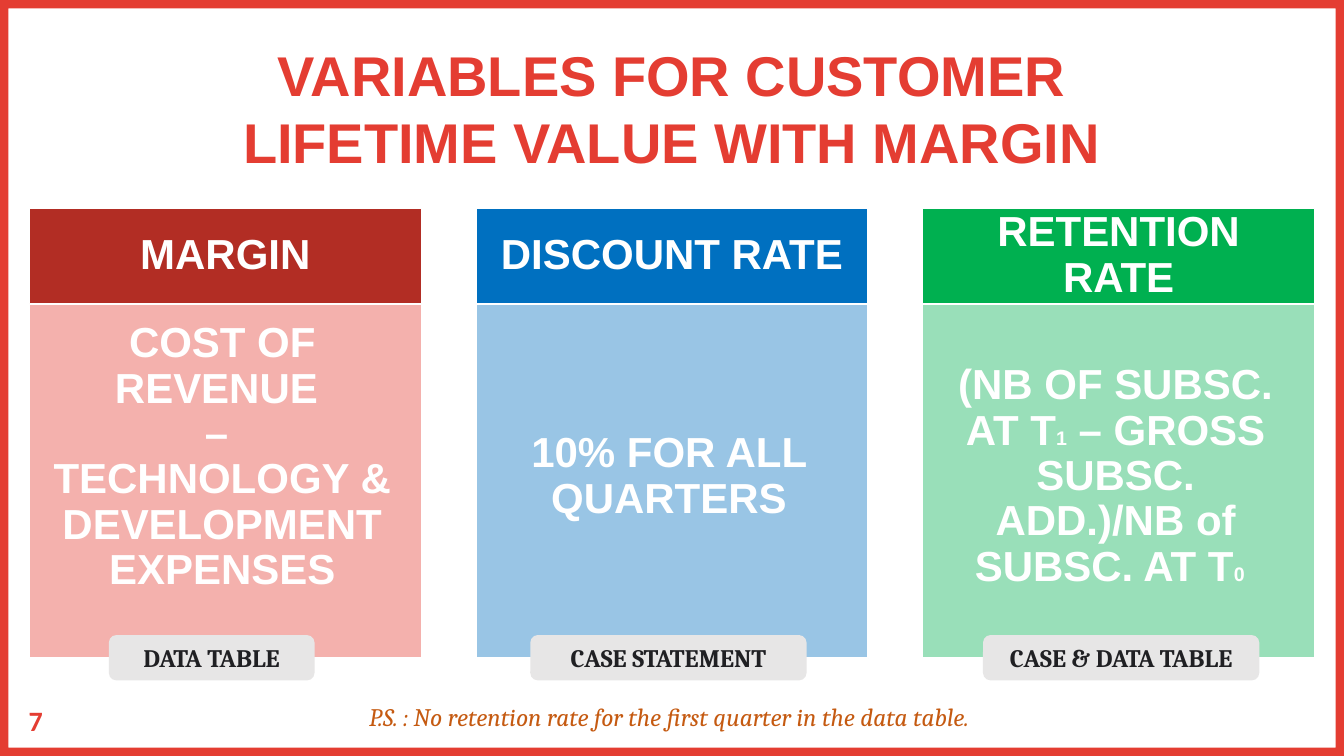
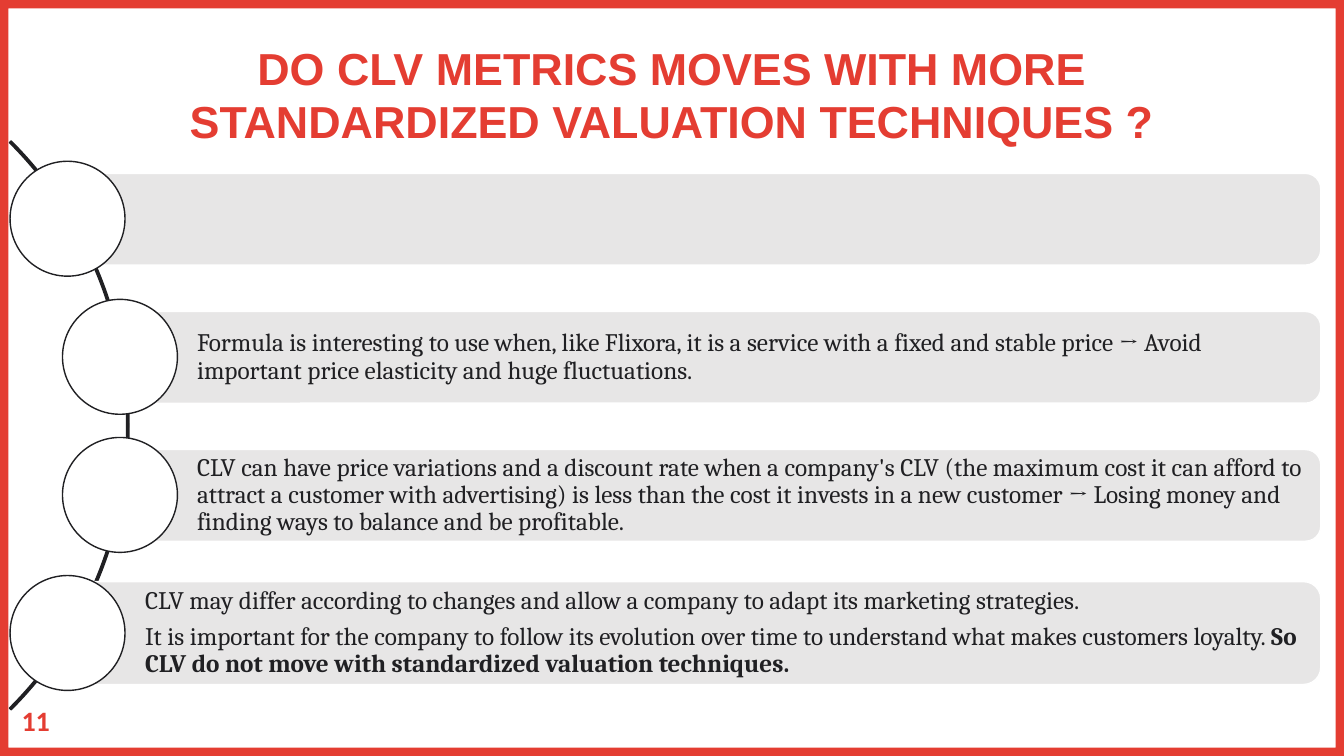
from lxml.etree import SubElement
from pptx import Presentation
from pptx.dml.color import RGBColor as RGB
from pptx.enum.shapes import MSO_SHAPE as SHAPE
from pptx.enum.text import MSO_ANCHOR as ANCHOR, PP_ALIGN as ALIGN
from pptx.oxml.ns import qn
from pptx.util import Pt

PX = 9144  # one px is a hundredth of an inch
WIDE, HIGH = 1333, 750

HUE = {"red": "E43D32", "dark": "B22D24", "blue": "0070C0", "green": "00B050",
       "grey": "E7E6E6", "ink": "202023", "rust": "C55A11", "white": "FFFFFF"}

# Text styles: font, size, colour, bold, italic
HEAD = ("Arial", 30, "white", True, False)
BODY = ("Cambria", 18, "ink", False, False)
TAG = ("Cambria", 18, "ink", True, False)
NOTE = ("Cambria", 18, "rust", False, True)
PAGE = ("Calibri", 20, "red", True, False)

# A paragraph is a list of (text, changes to the font); "|" breaks a line
CARDS = [
    {"name": "MARGIN", "top": "dark", "low": "red", "anchor": ANCHOR.TOP,
     "text": [("COST OF REVENUE |– |TECHNOLOGY & DEVELOPMENT EXPENSES", {})],
     "tag": ("DATA TABLE", 108, 204)},
    {"name": "DISCOUNT RATE", "top": "blue", "low": "blue", "anchor": ANCHOR.MIDDLE,
     "text": [("10% FOR ALL QUARTERS", {})],
     "tag": ("CASE STATEMENT", 526, 274)},
    {"name": "RETENTION RATE", "top": "green", "low": "green", "anchor": ANCHOR.MIDDLE,
     "text": [("(NB OF SUBSC. AT T", {}), ("1", {"size": Pt(14)}),
              (" – GROSS SUBSC. ADD.)/NB of SUBSC. AT T", {}),
              ("0", {"size": Pt(14)}), (" ", {})],
     "tag": ("CASE & DATA TABLE", 975, 274)},
]
PS = "P.S. : No retention rate for the first quarter in the data table. "

# Rows: left of circle, height of bar, paragraphs
ROWS = [
    (10, 91, []),
    (62, 91, [[("Formula is interesting to use when, like Flixora, it is a service with a "
                "fixed and stable price → Avoid important price elasticity and huge "
                "fluctuations.", {})]]),
    (62, 91, [[("CLV can have price variations and a discount rate when a company's CLV "
                "(the maximum cost it can afford to attract a customer with advertising) "
                "is less than the cost it invests in a new customer → Losing money and "
                "finding ways to balance and be profitable.", {})]]),
    (10, 102, [[("CLV may differ according to changes and allow a company to adapt its "
                 "marketing strategies.", {})],
               [("It is important for the company to follow its evolution over time to "
                 "understand what makes customers loyalty. ", {}),
                ("So CLV do not move with standardized valuation techniques.",
                 {"bold": True})]]),
]


def color(name):
    return RGB.from_string(HUE[name])


def shape(slide, kind, box, fill=None, line=None, width=1, alpha=None):
    item = slide.shapes.add_shape(kind, *[n * PX for n in box])
    item.shadow.inherit = False
    if fill:
        item.fill.solid()
        item.fill.fore_color.rgb = color(fill)
    else:
        item.fill.background()
    if alpha:
        tone = item.fill._xPr.find(qn("a:solidFill"))[0]
        SubElement(tone, qn("a:alpha"), val=str(alpha * 1000))
    if line:
        item.line.color.rgb = color(line)
        item.line.width = Pt(width)
    else:
        item.line.fill.background()
    return item


def write(item, paras, style, align=ALIGN.CENTER, anchor=ANCHOR.TOP,
          pad=(10, 5, 10, 5), lead=None, after=0):
    frame = item.text_frame
    frame.word_wrap = True
    frame.vertical_anchor = anchor
    (frame.margin_left, frame.margin_top,
     frame.margin_right, frame.margin_bottom) = [n * PX for n in pad]
    face, size, tone, bold, italic = style
    for i, runs in enumerate(paras):
        para = frame.add_paragraph() if i else frame.paragraphs[0]
        para.alignment = align
        para.space_after = Pt(after)
        if lead:
            para.line_spacing = lead
        font = para.font
        font.name, font.size, font.bold, font.italic = face, Pt(size), bold, italic
        font.color.rgb = color(tone)
        for text, change in runs:
            for k, part in enumerate(text.split("|")):
                if k:
                    para.add_line_break()
                run = para.add_run()
                run.text = part
                for key, value in change.items():
                    setattr(run.font, key, value)


def label(slide, box, text, style):
    item = slide.shapes.add_textbox(*[n * PX for n in box])
    write(item, [[(text, {})]], style)


def start(deck, page, title, size, width, height):
    """Add a slide with the shared frame, page number and title."""
    slide = deck.slides.add_slide(deck.slide_layouts[6])
    edge = shape(slide, SHAPE.FRAME, (0, 0, WIDE, HIGH), "red")
    edge.adjustments[0] = 0.011
    label(slide, (1, 693, 69, 44), page, PAGE)
    label(slide, ((WIDE - width) // 2, 35, width, height), title,
          ("Arial", size, "red", True, False))
    return slide


def cards(deck):
    slide = start(deck, "7", "VARIABLES FOR CUSTOMER LIFETIME VALUE WITH MARGIN",
                  40, 992, 145)
    for i, card in enumerate(CARDS):
        left = 29 + 443 * i
        top = shape(slide, SHAPE.RECTANGLE, (left, 207, 389, 94), card["top"], "white")
        write(top, [[(card["name"], {})]], HEAD, anchor=ANCHOR.MIDDLE,
              pad=(23, 13, 23, 13), lead=0.9)
        low = shape(slide, SHAPE.RECTANGLE, (left, 302, 389, 351), card["low"],
                    "white", alpha=40)
        write(low, [card["text"]], HEAD, anchor=card["anchor"],
              pad=(17, 17, 23, 26), lead=0.9)
        text, x, width = card["tag"]
        tag = shape(slide, SHAPE.ROUNDED_RECTANGLE, (x, 630, width, 45), "grey")
        write(tag, [[(text, {})]], TAG)
    note = shape(slide, SHAPE.RECTANGLE, (108, 691, 1117, 40), line="white", width=0.75)
    write(note, [[(PS, {})]], NOTE)


def rows(deck):
    slide = start(deck, "11", "DO CLV METRICS MOVES WITH MORE STANDARDIZED VALUATION "
                  "TECHNIQUES ?", 32, 1073, 118)
    arc = shape(slide, SHAPE.BLOCK_ARC, (-670, 23, 798, 798), "ink", "ink")
    for i, value in enumerate((189, 27, 0.003)):  # from 315 to 45 degrees, thin
        arc.adjustments[i] = value
    size, end = 114, 1310
    for i, (left, high, paras) in enumerate(ROWS):
        top = 160 + 137 * i
        x, mid = left + size // 2, top + size // 2
        bar = shape(slide, SHAPE.ROUNDED_RECTANGLE,
                    (x, mid - high // 2, end - x, high), "grey", "white")
        write(bar, paras, BODY, ALIGN.LEFT, ANCHOR.MIDDLE, (72, 5, 5, 5), 0.9, 6.3)
        shape(slide, SHAPE.OVAL, (left, top, size, size), "white", "ink")


def main():
    deck = Presentation()
    deck.slide_width, deck.slide_height = WIDE * PX, HIGH * PX
    cards(deck)
    rows(deck)
    deck.save("out.pptx")


if __name__ == "__main__":
    main()
